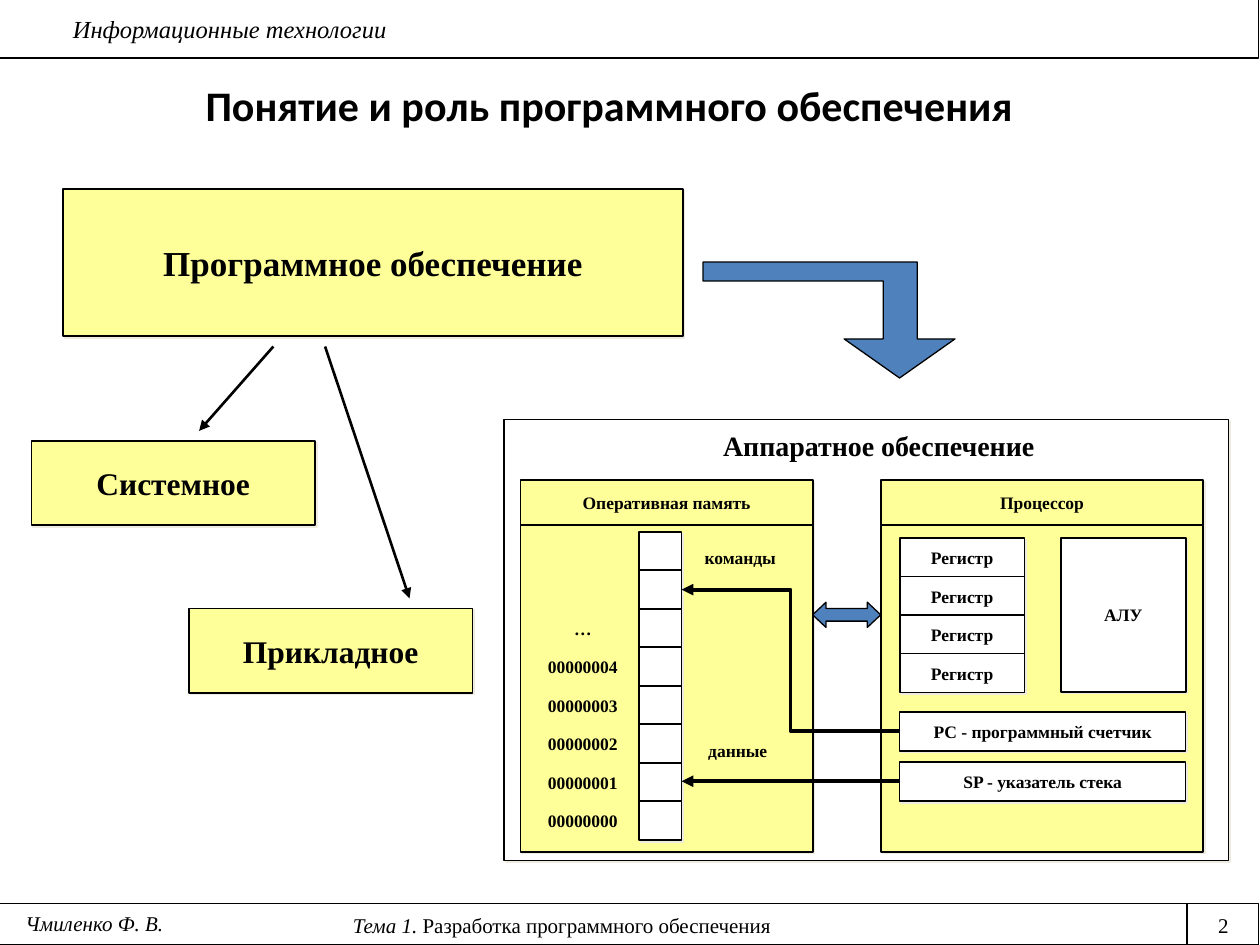
from dataclasses import dataclass
from typing import Any

import lxml.etree
import pptx
import pptx.dml.color
import pptx.enum.shapes
import pptx.enum.text
import pptx.oxml.ns
import pptx.util
from pptx.util import Inches

BLACK = pptx.dml.color.RGBColor(0x00, 0x00, 0x00)
WHITE = pptx.dml.color.RGBColor(0xFF, 0xFF, 0xFF)
YELLOW = pptx.dml.color.RGBColor(0xFF, 0xFF, 0x99)
BLUE = pptx.dml.color.RGBColor(0x4F, 0x81, 0xBD)
SHADOW = pptx.dml.color.RGBColor(0xEE, 0xEC, 0xE1)
SERIF = "Times New Roman"

CENTER = pptx.enum.text.PP_ALIGN.CENTER
LEFT = pptx.enum.text.PP_ALIGN.LEFT
MIDDLE = pptx.enum.text.MSO_ANCHOR.MIDDLE
TOP = pptx.enum.text.MSO_ANCHOR.TOP
PRESET = pptx.enum.shapes.MSO_SHAPE
CONNECTOR = pptx.enum.shapes.MSO_CONNECTOR
qn = pptx.oxml.ns.qn

ROW_HEIGHT = 0.31
ROW_STEP = (6.36 - 4.22) / 7
MEMORY_TOP = 4.22
MEMORY_CELLS = 8


@dataclass
class Box:
    left: float
    top: float
    width: float
    height: float
    text: str = ""
    size: float = 10
    fill: pptx.dml.color.RGBColor = WHITE


@dataclass
class Line:
    start: tuple[float, float]
    end: tuple[float, float]
    width: float
    kind: Any = CONNECTOR.STRAIGHT
    arrow: bool = True


def paint(shape: Any, fill: pptx.dml.color.RGBColor, width: float) -> None:
    shape.shadow.inherit = False
    shape.fill.solid()
    shape.fill.fore_color.rgb = fill
    shape.line.color.rgb = BLACK
    shape.line.width = pptx.util.Pt(width)


def add_soft_shadow(shape: Any) -> None:
    effects = shape.element.spPr.find(qn("a:effectLst"))
    shadow = lxml.etree.SubElement(
        effects, qn("a:outerShdw"), dist=str(pptx.util.Pt(1.4)), dir="2700000", algn="ctr", rotWithShape="0")
    lxml.etree.SubElement(shadow, qn("a:srgbClr"), val=str(SHADOW))


def format_paragraph(paragraph: Any, size: float, bold: bool, font: str = SERIF) -> None:
    paragraph.alignment = CENTER
    paragraph.font.name = font
    paragraph.font.size = pptx.util.Pt(size)
    paragraph.font.bold = bold
    paragraph.font.color.rgb = BLACK


def add_box(shapes: Any, box: Box) -> None:
    """Draw a bordered block with a soft shadow and centred bold text."""
    shape = shapes.add_shape(PRESET.RECTANGLE, Inches(box.left), Inches(box.top),
                             Inches(box.width), Inches(box.height))
    paint(shape, box.fill, 1)
    add_soft_shadow(shape)
    if box.text:
        shape.text_frame.text = box.text
        shape.text_frame.vertical_anchor = MIDDLE
        format_paragraph(shape.text_frame.paragraphs[0], box.size, bold=True)


def add_label(shapes: Any, box: Box, bold: bool = True, anchor: Any = MIDDLE) -> Any:
    """Draw text without a border and return its paragraph."""
    label = shapes.add_textbox(Inches(box.left), Inches(box.top), Inches(box.width), Inches(box.height))
    frame = label.text_frame
    frame.word_wrap = True
    frame.vertical_anchor = anchor
    frame.text = box.text
    format_paragraph(frame.paragraphs[0], box.size, bold)
    return frame.paragraphs[0]


def add_line(shapes: Any, line: Line) -> None:
    points = [Inches(value) for value in line.start + line.end]
    connector = shapes.add_connector(line.kind, *points)
    connector.line.color.rgb = BLACK
    connector.line.width = pptx.util.Pt(line.width)
    if line.arrow:
        lxml.etree.SubElement(connector.line._get_or_add_ln(), qn("a:tailEnd"), type="triangle")
    lxml.etree.SubElement(connector.element.spPr, qn("a:effectLst"))


def add_header_and_footer(slide: Any) -> None:
    for top, height in ((7.17, 0.33), (-0.01, 0.47)):
        band = slide.shapes.add_shape(PRESET.RECTANGLE, Inches(-0.01), Inches(top), Inches(10), Inches(height))
        paint(band, WHITE, 0.75)
    course = add_label(slide.shapes, Box(0.48, 0.06, 9.42, 0.34, "Информационные технологии", 14), False, TOP)
    course.alignment = LEFT
    course.font.italic = True
    topic = add_label(slide.shapes, Box(0, 7.19, 8.92, 0.3, "Тема 1. ", 12), False, TOP)
    topic.runs[0].font.italic = True
    topic.add_run().text = "Разработка программного обеспечения"
    add_label(slide.shapes, Box(9.42, 7.19, 0.58, 0.3, "2", 12), False, TOP)
    author = add_label(slide.shapes, Box(0, 7.18, 1.5, 0.3, "Чмиленко Ф. В.", 12), False, TOP)
    author.font.italic = True
    add_line(slide.shapes, Line((9.42, 7.17), (9.42, 7.5), 0.75, arrow=False))


def add_title(slide: Any) -> None:
    title = slide.shapes.title
    title.left, title.top, title.width, title.height = Inches(0.25), Inches(0.58), Inches(9.17), Inches(0.5)
    title.text_frame.text = "Понятие и роль программного обеспечения"
    title.text_frame.vertical_anchor = MIDDLE
    format_paragraph(title.text_frame.paragraphs[0], 24, True, "Calibri")


def add_hardware(slide: Any) -> None:
    shapes = slide.shapes.add_group_shape().shapes
    add_box(shapes, Box(4, 3.33, 5.75, 3.5))
    for left, width, name in ((4.13, 2.32, "Оперативная память"), (6.99, 2.56, "Процессор")):
        add_box(shapes, Box(left, 3.81, width, 0.36, name, fill=YELLOW))
        add_box(shapes, Box(left, 4.17, width, 2.59, fill=YELLOW))

    for row in range(4):
        add_box(shapes, Box(7.14, 4.27 + row * ROW_STEP, 0.99, ROW_HEIGHT, "Регистр"))
    add_box(shapes, Box(7.14, 5.65, 2.27, ROW_HEIGHT, "PC - программный счетчик"))
    add_box(shapes, Box(7.14, 6.05, 2.27, ROW_HEIGHT, "SP - указатель стека"))
    add_box(shapes, Box(8.42, 4.27, 0.99, 1.22, "АЛУ"))

    addresses = [f"{number:08d}" for number in range(5)] + ["…"]
    for number, address in enumerate(addresses):
        top = MEMORY_TOP + (MEMORY_CELLS - 1 - number) * ROW_STEP
        add_label(shapes, Box(4.13, top, 0.99, ROW_HEIGHT, address))

    bus = shapes.add_shape(PRESET.LEFT_RIGHT_ARROW, Inches(6.45), Inches(4.78), Inches(0.54), Inches(0.2))
    bus.adjustments[0] = 0.5
    bus.adjustments[1] = 0.53
    paint(bus, BLUE, 0.75)

    for row in range(MEMORY_CELLS):
        add_box(shapes, Box(5.07, MEMORY_TOP + row * ROW_STEP, 0.34, ROW_HEIGHT))
    add_label(shapes, Box(5.36, 4.27, 1.03, ROW_HEIGHT, "команды"))
    add_label(shapes, Box(5.36, 5.8, 0.99, ROW_HEIGHT, "данные"))
    add_line(shapes, Line((7.14, 6.2), (5.41, 6.2), 2.25))
    add_line(shapes, Line((7.14, 5.8), (5.41, 4.68), 2.25, CONNECTOR.ELBOW))
    add_label(shapes, Box(5.52, 3.33, 2.91, 0.41, "Аппаратное обеспечение", 16))


def add_software(slide: Any) -> None:
    for box in (
        Box(0.5, 1.5, 4.92, 1.17, "Программное обеспечение", 20, YELLOW),
        Box(0.25, 3.5, 2.25, 0.67, "Системное", 18, YELLOW),
        Box(1.5, 4.83, 2.25, 0.67, "Прикладное", 18, YELLOW),
    ):
        add_box(slide.shapes, box)
    add_line(slide.shapes, Line((2.58, 2.75), (3.25, 4.75), 1.5))
    add_line(slide.shapes, Line((2.17, 2.75), (1.58, 3.42), 1.5))


def add_bent_arrow(slide: Any) -> None:
    outline = [(7.14, 3), (6.7, 2.69), (7.01, 2.69), (7.01, 2.23), (5.58, 2.23),
               (5.58, 2.08), (7.28, 2.08), (7.28, 2.69), (7.58, 2.69)]
    start, *corners = [(Inches(x), Inches(y)) for x, y in outline]
    builder = slide.shapes.build_freeform(*start)
    builder.add_line_segments(corners, close=True)
    paint(builder.convert_to_shape(), BLUE, 0.75)


def main() -> None:
    presentation = pptx.Presentation()
    presentation.slide_width = Inches(10)
    presentation.slide_height = Inches(7.5)
    slide = presentation.slides.add_slide(presentation.slide_layouts[5])
    add_header_and_footer(slide)
    add_title(slide)
    add_hardware(slide)
    add_software(slide)
    add_bent_arrow(slide)
    presentation.save("out.pptx")


if __name__ == "__main__":
    main()
